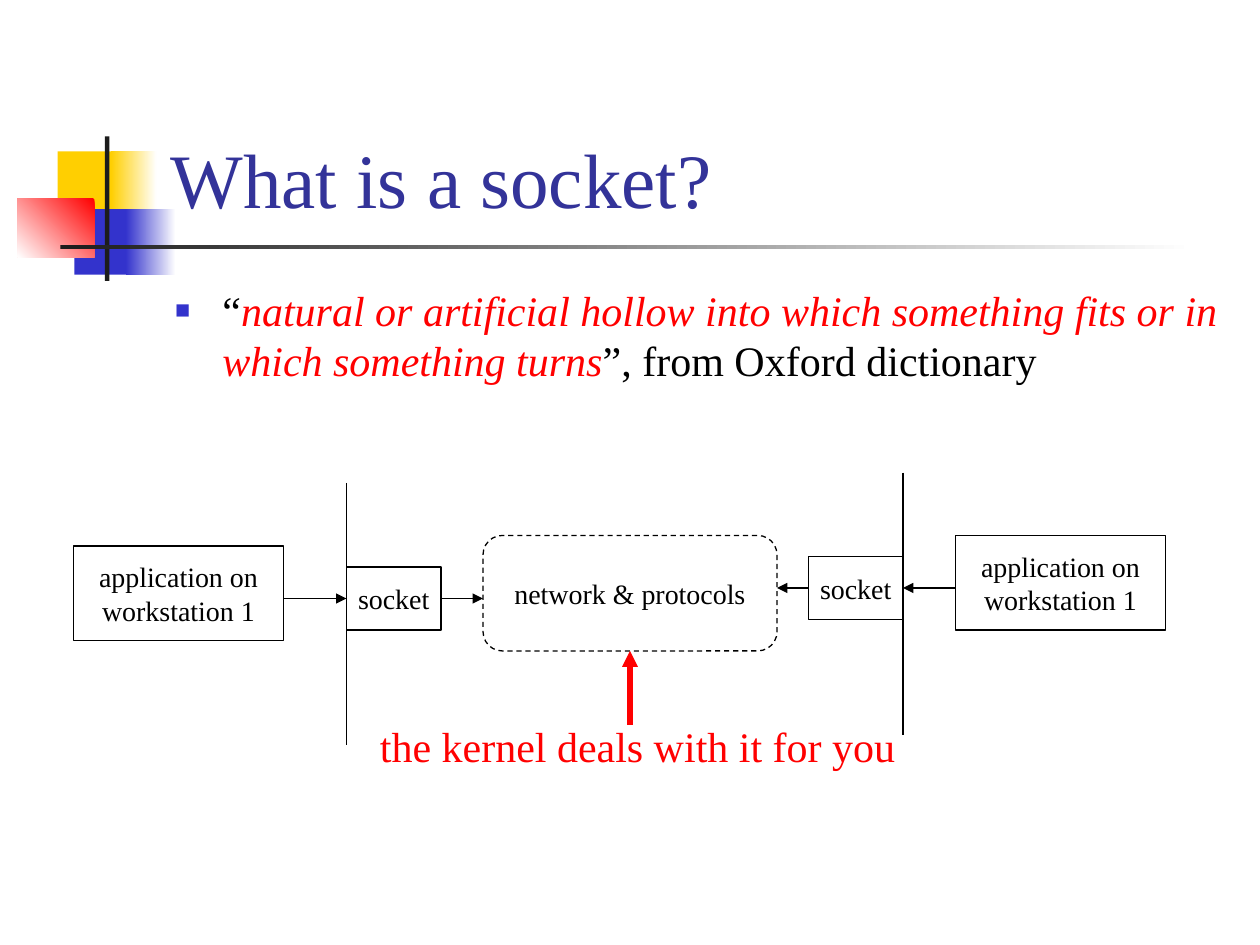
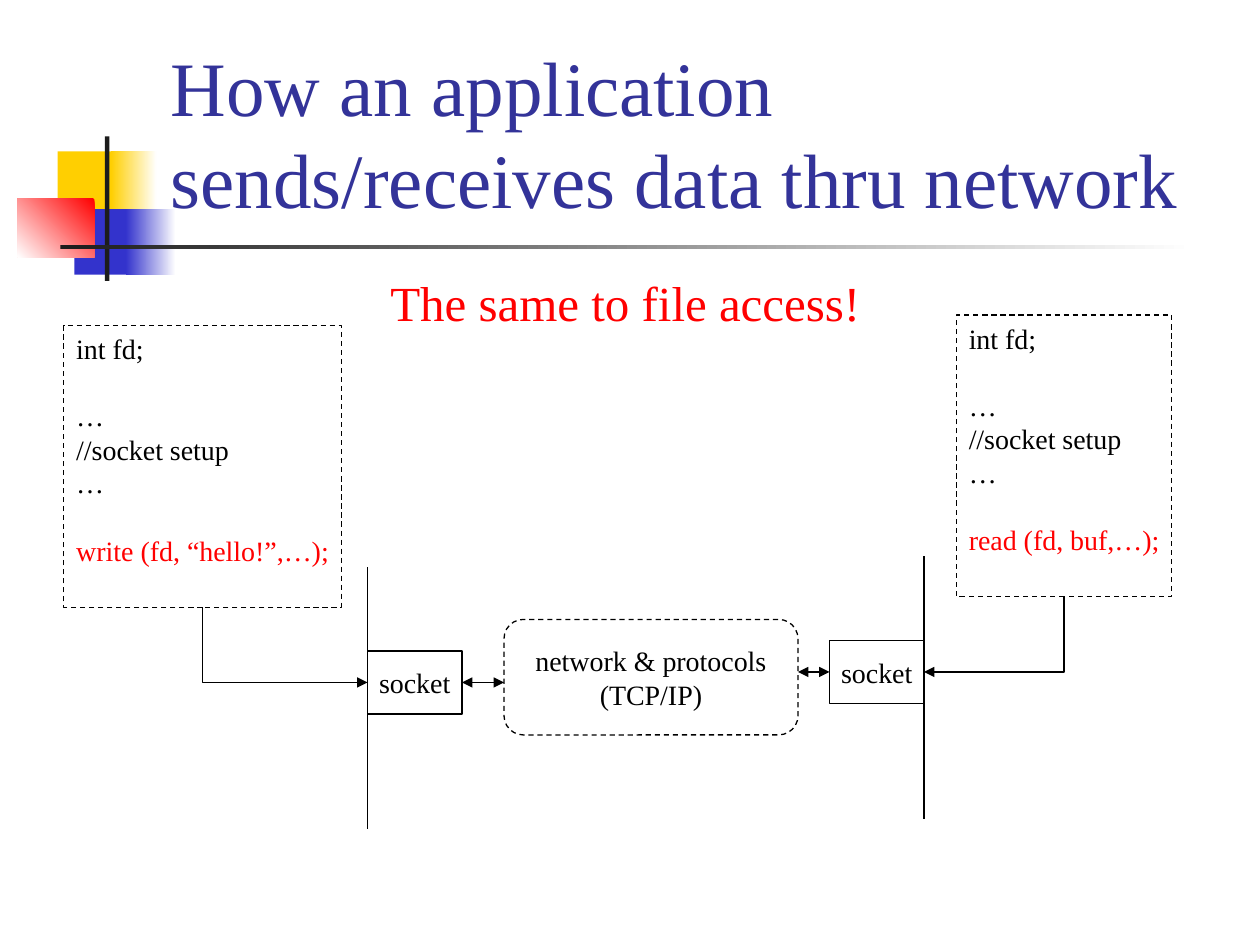
from lxml import etree
from pptx import Presentation
from pptx.dml.color import RGBColor
from pptx.enum.dml import MSO_LINE
from pptx.enum.shapes import MSO_CONNECTOR, MSO_SHAPE
from pptx.enum.text import MSO_ANCHOR, PP_ALIGN
from pptx.oxml.ns import qn
from pptx.util import Pt

RECT, ROUND = MSO_SHAPE.RECTANGLE, MSO_SHAPE.ROUNDED_RECTANGLE
STRAIGHT, ELBOW = MSO_CONNECTOR.STRAIGHT, MSO_CONNECTOR.ELBOW
TOP, MIDDLE, BOTTOM = MSO_ANCHOR.TOP, MSO_ANCHOR.MIDDLE, MSO_ANCHOR.BOTTOM
LEFT, CENTER = PP_ALIGN.LEFT, PP_ALIGN.CENTER
DASH = MSO_LINE.DASH

FONT = "Times New Roman"
LEAD = 1.2  # line height per point of text size
BLACK, WHITE, RED, INK = "000000", "FFFFFF", "FF0000", "1C1C1C"
GOLD, BLUE, NAVY = "FFCF01", "3333CC", "333399"


def rgb(code):
    return RGBColor.from_string(code)


class Deck:
    def __init__(self):
        self.prs = Presentation()
        self.prs.slide_width, self.prs.slide_height = Pt(720), Pt(540)

    def page(self, title):
        """Start a slide with the shared decoration and its title."""
        self.slide = self.prs.slides.add_slide(self.prs.slide_layouts[6])
        self.shapes = self.slide.shapes
        self.block(33, 86.5, 34.5, 37.5, GOLD)
        self.block(63.5, 86.5, 26, 37.5, GOLD, WHITE)
        self.block(42.5, 119.5, 33, 37.5, BLUE)
        self.block(72, 119.5, 28.5, 37.5, BLUE, WHITE)
        self.block(10, 113.5, 44, 33.5, RED, WHITE, 225)
        self.block(60, 78, 2.5, 82.5, INK)
        self.block(34.5, 140, 648, 2.5, INK, WHITE)
        self.text(90.5, 16.5, 613.5, 115, [[(title, NAVY)]], 44,
                  anchor=BOTTOM)

    def block(self, x, y, w, h, color, fade=None, angle=0):
        """Solid or fading rectangle without an outline."""
        shape = self.shapes.add_shape(RECT, Pt(x), Pt(y), Pt(w), Pt(h))
        shape.shadow.inherit = False
        shape.line.fill.background()
        if fade:
            shape.fill.gradient()
            shape.fill.gradient_angle = angle
            for stop, tone in zip(shape.fill.gradient_stops, (color, fade)):
                stop.color.rgb = rgb(tone)
        else:
            shape.fill.solid()
            shape.fill.fore_color.rgb = rgb(color)

    def put(self, shape, rows, size, align=LEFT, anchor=TOP, wrap=True):
        """Fill a shape; each row is a list of (text, color[, italic])."""
        frame = shape.text_frame
        frame.word_wrap, frame.vertical_anchor = wrap, anchor
        for i, row in enumerate(rows):
            para = frame.add_paragraph() if i else frame.paragraphs[0]
            para.alignment = align
            para.line_spacing = Pt(round(size * LEAD, 1))
            for text, color, *slant in row:
                run = para.add_run()
                run.text = text
                run.font.name, run.font.size = FONT, Pt(size)
                run.font.color.rgb = rgb(color)
                run.font.italic = bool(slant)

    def text(self, x, y, w, h, rows, size, **style):
        box = self.shapes.add_textbox(Pt(x), Pt(y), Pt(w), Pt(h))
        self.put(box, rows, size, **style)
        return box.text_frame.paragraphs[0]

    def box(self, x, y, w, h, lines, kind=RECT, dash=None,
            align=CENTER, anchor=MIDDLE):
        """Outlined box with one paragraph for each line."""
        shape = self.shapes.add_shape(kind, Pt(x), Pt(y), Pt(w), Pt(h))
        shape.shadow.inherit = False
        shape.fill.background()
        shape.line.color.rgb = rgb(BLACK)
        shape.line.width = Pt(0.75)
        shape.line.dash_style = dash
        self.put(shape, [[(line, BLACK)] for line in lines], 16,
                 align=align, anchor=anchor, wrap=False)
        return shape

    def line(self, x1, y1, x2, y2, heads=(), start=None, end=None,
             color=BLACK, width=0.75, kind=STRAIGHT):
        """Line with optional heads; start and end are (shape, side)."""
        link = self.shapes.add_connector(kind, Pt(x1), Pt(y1), Pt(x2), Pt(y2))
        if start:
            link.begin_connect(*start)
        if end:
            link.end_connect(*end)
        link.line.color.rgb = rgb(color)
        link.line.width = Pt(width)
        props = link._element.spPr
        for head in heads:
            etree.SubElement(props.find(qn("a:ln")), qn("a:" + head),
                             type="triangle")
        etree.SubElement(props, qn("a:effectLst"))
        if kind == ELBOW:
            props.find(qn("a:prstGeom")).set("prst", "bentConnector2")

    def bullet(self, para):
        props = para._p.get_or_add_pPr()
        props.set("marL", str(Pt(27)))
        props.set("indent", str(Pt(-27)))
        tone = etree.SubElement(props, qn("a:buClr"))
        etree.SubElement(tone, qn("a:srgbClr"), val=BLUE)
        etree.SubElement(props, qn("a:buSzPct"), val="60000")
        etree.SubElement(props, qn("a:buFont"), typeface=FONT)
        etree.SubElement(props, qn("a:buChar"), char="■")

    def network(self, x, y, lines, heads):
        """Network box at x, y between two sockets on their host borders."""
        net = self.box(x, y, 168, 66, lines, ROUND, DASH)
        socks = []
        # edge: host border, left: socket, mid: arrow height
        for edge, left, mid, rim, side in (
                (x - 78, x - 78, y + 36, x, 3),
                (x + 240, x + 186, y + 30, x + 168, 1)):
            self.line(edge, mid - 66, edge, mid + 84)
            sock = self.box(left, mid - 18, 54, 36, ["socket"])
            near = left + 54 if side == 3 else left
            self.line(near, mid, rim, mid, heads, start=(sock, side))
            socks.append(sock)
        return net, socks

    def code(self, x, y, w, call, sock, side):
        """Listing box whose last line is the call, tied to a socket."""
        lines = ["int fd;", "…", "//socket setup", "…", call]
        box = self.box(x, y, w, 161, lines, dash=DASH, align=LEFT, anchor=TOP)
        paras = box.text_frame.paragraphs
        for i in (1, 4):
            paras[i].space_before = Pt(16 * LEAD)
        paras[4].runs[0].font.color.rgb = rgb(RED)
        self.line(0, 0, 0, 0, ["headEnd"], (sock, side), (box, 2), kind=ELBOW)


def main():
    deck = Deck()

    # Slide 1: definition and overview
    deck.page("What is a socket?")
    quote = deck.text(93, 159, 612, 75, [[
        ("“", BLACK),
        ("natural or artificial hollow into which something fits or in "
         "which something turns", RED, True),
        ("”, from Oxford dictionary", BLACK)]], 24)
    quote.space_before = Pt(6)
    deck.bullet(quote)
    net, socks = deck.network(276, 306, ["network & protocols"], ["tailEnd"])
    hosts = ((42, 312, 162, 198, 342, 1), (546, 306, 546, 516, 336, 3))
    for (x, y, rim, edge, mid, side), sock in zip(hosts, socks):
        deck.box(x, y, 120, 54, ["application on", "workstation 1"])
        deck.line(rim, mid, edge, mid, ["tailEnd"], end=(sock, side))
    deck.text(210, 408, 309, 36, [[("the kernel deals with it for you", RED)]],
              24, wrap=False)
    deck.line(360, 414, 360, 372, ["tailEnd"], end=(net, 2),
              color=RED, width=3)

    # Slide 2: sending and receiving
    deck.page("How an application sends/receives data thru network")
    claim = deck.text(216, 156, 342, 42, [[("The same to file access!", RED)]],
                      28)
    claim.space_before = Pt(7)
    claim.line_spacing = Pt(30)
    net, socks = deck.network(288, 354, ["network & protocols", "(TCP/IP)"],
                              ["headEnd", "tailEnd"])
    deck.code(36.5, 186, 158.5, "write (fd, “hello!”,…);", socks[0], 1)
    deck.code(546.5, 180, 123, "read (fd, buf,…);", socks[1], 3)

    deck.prs.save("out.pptx")


if __name__ == "__main__":
    main()
